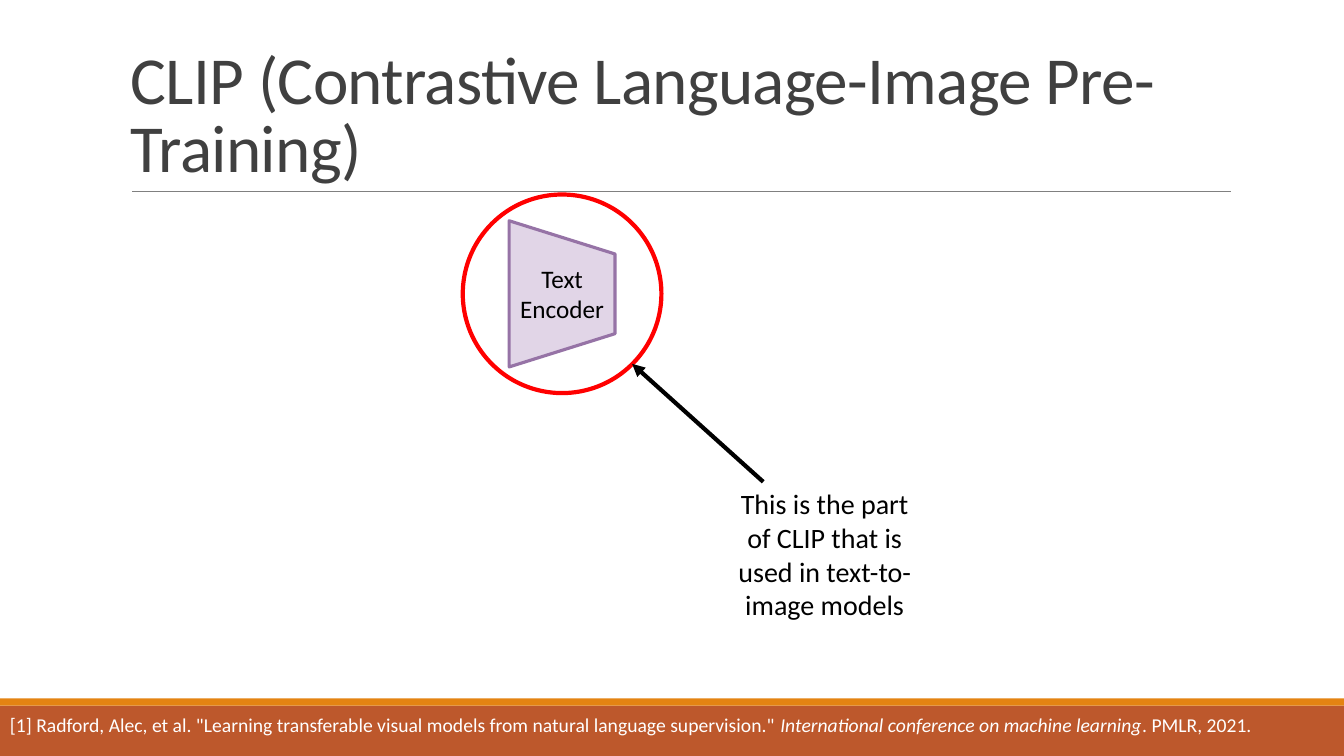
from lxml import etree
from pptx import Presentation
from pptx.dml.color import RGBColor
from pptx.enum.shapes import MSO_CONNECTOR, MSO_SHAPE
from pptx.enum.text import MSO_ANCHOR, PP_ALIGN
from pptx.oxml.ns import qn
from pptx.util import Inches, Pt

STRAIGHT = MSO_CONNECTOR.STRAIGHT
RECTANGLE, TRAPEZOID, OVAL = MSO_SHAPE.RECTANGLE, MSO_SHAPE.TRAPEZOID, MSO_SHAPE.OVAL
TOP, BOTTOM = MSO_ANCHOR.TOP, MSO_ANCHOR.BOTTOM
LEFT, CENTER = PP_ALIGN.LEFT, PP_ALIGN.CENTER

WIDTH, HEIGHT = 13.33, 7.5
FONT = "Calibri"
COLORS = {
    "title": "404040", "rule": "808080", "text": "000000", "citation": "FFFFFF",
    "band": "BD582C", "stripe": "E48312",
    "encoder": "E1D5E7", "encoder_edge": "9673A6", "highlight": "FF0000",
}


def color(name):
    """Return the palette colour with this name."""
    return RGBColor.from_string(COLORS[name])


def add_block(slide, preset, box, fill=None, edge=None, weight=0):
    """Add a preset shape with an optional fill and outline."""
    block = slide.shapes.add_shape(preset, *map(Inches, box))
    block.shadow.inherit = False
    if fill:
        block.fill.solid()
        block.fill.fore_color.rgb = color(fill)
    else:
        block.fill.background()
    if edge:
        block.line.color.rgb = color(edge)
        block.line.width = Pt(weight)
    else:
        block.line.fill.background()
    return block


def add_line(slide, start, end, tint, weight):
    """Add a straight connector without a shadow."""
    line = slide.shapes.add_connector(STRAIGHT, *map(Inches, start + end))
    line.line.color.rgb = color(tint)
    line.line.width = Pt(weight)
    etree.SubElement(line._element.spPr, qn("a:effectLst"))
    return line


def add_text(slide, box, pieces, size, tint, align=LEFT, anchor=TOP):
    """Add one wrapped paragraph made of (text, italic) pieces and return it."""
    frame = slide.shapes.add_textbox(*map(Inches, box)).text_frame
    frame.word_wrap = True
    frame.vertical_anchor = anchor
    paragraph = frame.paragraphs[0]
    paragraph.alignment = align
    for words, italic in pieces:
        run = paragraph.add_run()
        run.text = words
        run.font.name = FONT
        run.font.size = Pt(size)
        run.font.italic = italic
        run.font.color.rgb = color(tint)
    return paragraph


def add_header(slide, left, top, width, height):
    """Place the title with the thin rule along its lower edge."""
    title = add_text(slide, (left, top, width, height),
                     [("CLIP (Contrastive Language-Image Pre-Training)", False)],
                     48, "title", anchor=BOTTOM)
    title.line_spacing = 0.85
    title.runs[0].font._element.set("spc", "-50")
    rule_left, rule_y = left + 0.11, top + height
    add_line(slide, (rule_left, rule_y), (rule_left + 10.9, rule_y), "rule", 0.5)


def add_encoder(slide, left, top, size):
    """Place the text encoder centred inside its highlight circle."""
    center_x, center_y = left + size / 2, top + size / 2
    span, depth = 1.45, 1.05
    body = add_block(slide, TRAPEZOID,
                     (center_x - span / 2, center_y - depth / 2, span, depth),
                     "encoder", "encoder_edge", 2.25)
    body.adjustments[0] = 0.314
    body.rotation = 90
    add_text(slide, (center_x - depth / 2, center_y - 0.355, depth, 0.71),
             [("Text Encoder", False)], 18, "text", CENTER)
    add_block(slide, OVAL, (left, top, size, size), edge="highlight", weight=3)


def add_callout(slide, left, top, width, height, target):
    """Place the explanation and an arrow from its top edge to the target."""
    arrow = add_line(slide, (left + 0.46, top), target, "text", 3)
    etree.SubElement(arrow.line._get_or_add_ln(), qn("a:tailEnd"), type="triangle")
    add_text(slide, (left, top, width, height),
             [("This is the part of CLIP that is used in text-to-image models", False)],
             20, "text", CENTER)


def add_footer(slide, top, height):
    """Place the full-width band, its stripe and the citation."""
    stripe = 0.07
    add_block(slide, RECTANGLE, (0, top + stripe, WIDTH, height - stripe), "band")
    add_block(slide, RECTANGLE, (0, top, WIDTH, stripe), "stripe")
    add_text(slide, (0, top + 0.09, WIDTH, 0.34), [
        ('[1] Radford, Alec, et al. "Learning transferable visual models '
         'from natural language supervision." ', False),
        ("International conference on machine learning", True),
        (". PMLR, 2021.", False),
    ], 14, "citation")


def main():
    """Build the slide and save it."""
    deck = Presentation()
    deck.slide_width, deck.slide_height = Inches(WIDTH), Inches(HEIGHT)
    slide = deck.slides.add_slide(deck.slide_layouts[6])
    add_header(slide, 1.2, 0.31, 11, 1.59)
    add_encoder(slide, 4.59, 1.93, 1.97)
    add_callout(slide, 7.11, 4.78, 2.14, 1.45, target=(6.27, 3.61))
    add_footer(slide, 6.93, HEIGHT - 6.93)
    deck.save("out.pptx")


if __name__ == "__main__":
    main()
